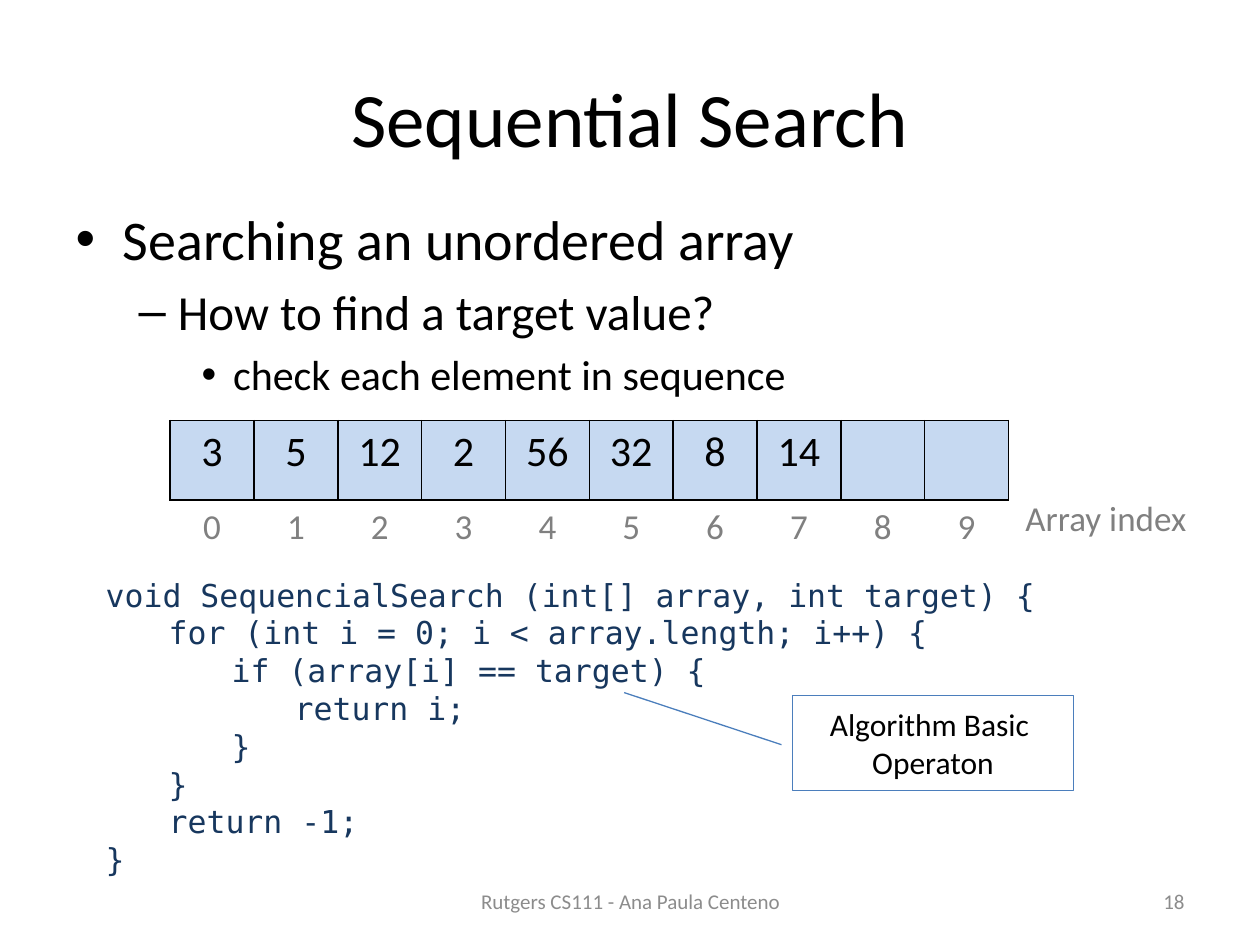
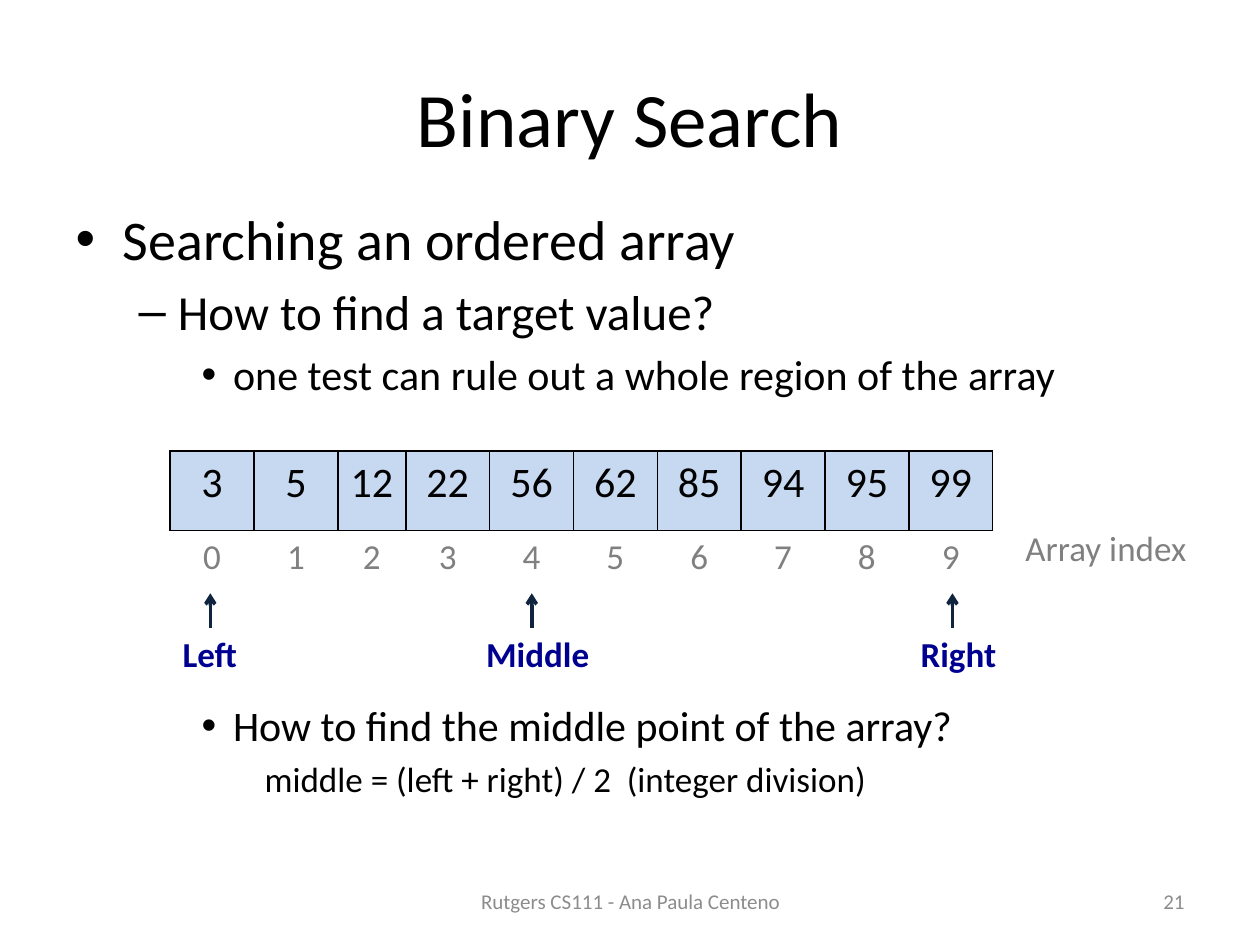
from dataclasses import dataclass

from lxml import etree
from pptx import Presentation
from pptx.dml.color import RGBColor
from pptx.enum.shapes import MSO_CONNECTOR, MSO_SHAPE
from pptx.enum.text import MSO_ANCHOR, MSO_AUTO_SIZE, PP_ALIGN
from pptx.oxml.ns import qn
from pptx.util import Cm, Pt

LEFT, MID, RIGHT = PP_ALIGN.LEFT, PP_ALIGN.CENTER, PP_ALIGN.RIGHT
TOP, CENTRE = MSO_ANCHOR.TOP, MSO_ANCHOR.MIDDLE
FIXED = MSO_AUTO_SIZE.NONE
CALLOUT = MSO_SHAPE.LINE_CALLOUT_1
STRAIGHT = MSO_CONNECTOR.STRAIGHT
NO_STYLE = "{2D5ABB26-0587-4C30-8999-92F81FD0307C}"


@dataclass(frozen=True)
class Theme:
    """Fonts, colours and type sizes of the deck."""
    font: str = "Calibri"
    mono: str = "DejaVu Sans Mono"
    ink: str = "000000"
    grey: str = "808080"
    foot: str = "8C8C8C"
    cell: str = "C6D9F1"
    code: str = "17375E"
    mark: str = "000090"
    arrow: str = "0F243E"
    edge: str = "4B7EBC"
    title: int = 44
    levels: tuple = (32, 28, 24, 20)
    value: int = 24
    index: int = 20
    text: int = 18
    small: int = 12


theme = Theme()


def style(para, size, color, align=None, bold=False, font=theme.font):
    """Format a paragraph and all its runs."""
    para.alignment = align
    for run in para.runs:
        run.font.name, run.font.size, run.font.bold = font, Pt(size), bold
        run.font.color.rgb = RGBColor.from_string(color)


def label(slide, box, text, size, color, align=LEFT, anchor=TOP, wrap=True,
          bold=False, font=theme.font):
    """Add a text box and return its text frame."""
    frame = slide.shapes.add_textbox(*map(Cm, box)).text_frame
    frame.word_wrap, frame.vertical_anchor = wrap, anchor
    frame.text = text
    for para in frame.paragraphs:
        style(para, size, color, align, bold, font)
    return frame


deck = Presentation()
deck.slide_width, deck.slide_height = Cm(25.4), Cm(19.05)

COL, THIN, ROW = 1.69, 1.37, 1.6
topics = [
    dict(title="Sequential Search", number="18", body=(22.86, 4.75), top=8.48,
         list=["Searching an unordered array", "How to find a target value?",
               "check each element in sequence"],
         values=["3", "5", "12", "2", "56", "32", "8", "14", "", ""],
         widths=[COL] * 10),
    dict(title="Binary Search", number="21", body=(24.13, 13.67), top=9.09,
         list=["Searching an ordered array", "How to find a target value?",
               "one test can rule out a whole region of the array"],
         values=["3", "5", "12", "22", "56", "62", "85", "94", "95", "99"],
         widths=[COL] * 2 + [THIN] + [COL] * 7),
]

# Shared parts: title, list, array with its index row, footer
slides = []
for topic in topics:
    slide = deck.slides.add_slide(deck.slide_layouts[1])
    slides.append(slide)
    title, body = slide.placeholders
    title.left, title.top, title.width, title.height = map(
        Cm, (1.27, 0.76, 22.86, 3.18))
    title.text_frame.text = topic["title"]
    title.text_frame.vertical_anchor = CENTRE
    style(title.text_frame.paragraphs[0], theme.title, theme.ink, MID)

    body.left, body.top = Cm(1.27), Cm(3.99)
    body.width, body.height = map(Cm, topic["body"])
    body.text_frame.text = "\n".join(topic["list"])
    body.text_frame.auto_size = FIXED
    for level, para in enumerate(body.text_frame.paragraphs):
        para.level = level
        style(para, theme.levels[level], theme.ink)

    top, widths = topic["top"], topic["widths"]
    table = slide.shapes.add_table(
        2, len(widths), Cm(3.43), Cm(top), Cm(sum(widths)), Cm(2 * ROW)).table
    table.first_row = table.horz_banding = False
    table._tbl.tblPr.find(qn("a:tableStyleId")).text = NO_STYLE
    for row in table.rows:
        row.height = Cm(ROW)
    for col, value in enumerate(topic["values"]):
        table.columns[col].width = Cm(widths[col])
        looks = [(value, theme.value, theme.ink, "LRTB"),
                 (str(col), theme.index, theme.grey, "T")]
        for row, (text, size, color, sides) in enumerate(looks):
            cell = table.cell(row, col)
            cell.text = text
            style(cell.text_frame.paragraphs[0], size, color, MID)
            props = cell._tc.get_or_add_tcPr()
            for side in sides:
                line = etree.SubElement(props, qn("a:ln" + side), w="12700")
                fill = etree.SubElement(line, qn("a:solidFill"))
                etree.SubElement(fill, qn("a:srgbClr"), val=theme.ink)
            if row == 0:
                cell.fill.solid()
                cell.fill.fore_color.rgb = RGBColor.from_string(theme.cell)
            else:
                cell.fill.background()

    label(slide, (20.42, top + 1.4, 4.04, 1.12), "Array index",
          theme.index, theme.grey)
    label(slide, (8.69, 17.65, 8.05, 1.02), "Rutgers CS111 - Ana Paula Centeno",
          theme.small, theme.foot, MID, CENTRE)
    label(slide, (18.21, 17.65, 5.92, 1.02), topic["number"],
          theme.small, theme.foot, RIGHT, CENTRE)

linear, binary = slides

# Sequential search: code, one indent step per depth, and a callout
code = [
    (0, "void SequencialSearch (int[] array, int target) {"),
    (1, "for (int i = 0; i < array.length; i++) {"),
    (2, "if (array[i] == target) {"),
    (3, "return i;"),
    (2, "}"),
    (1, "}"),
    (1, "return -1;"),
    (0, "}"),
]
frame = label(linear, (1.88, 11.48, 19.76, 6.4),
              "\n".join(text for depth, text in code),
              theme.text, theme.code, wrap=False, font=theme.mono)
for para, (depth, text) in zip(frame.paragraphs, code):
    para._p.get_or_add_pPr().set("marL", str(Cm(1.27 * depth)))

note = linear.shapes.add_shape(CALLOUT, *map(Cm, (15.98, 14.02, 5.66, 1.91)))
note.shadow.inherit = False
note.fill.background()
note.line.color.rgb = RGBColor.from_string(theme.edge)
note.line.width = Pt(0.75)
for spot, value in enumerate((0.52, -0.04, -0.03, -0.6)):
    note.adjustments[spot] = value
note.text_frame.text = "Algorithm Basic \nOperaton"
note.text_frame.vertical_anchor = CENTRE
for para in note.text_frame.paragraphs:
    style(para, theme.text, theme.ink, MID)

# Binary search: the list goes on below the array
frame = binary.placeholders[1].text_frame
for level, text in ((2, "How to find the middle point of the array?"),
                    (3, "middle = (left + right) / 2  (integer division)")):
    para = frame.add_paragraph()
    para.text, para.level = text, level
    style(para, theme.levels[level], theme.ink)
    if level == 2:
        para.space_before = Pt(172)
    else:
        props = para._p.get_or_add_pPr()
        props.set("marL", str(Cm(3.81)))
        props.set("indent", "0")
        etree.SubElement(props, qn("a:buNone"))

# Binary search: arrows under the array with their names
for text, x, left, width in (("Left", 4.24, 3.43, 1.63),
                             ("Middle", 10.72, 9.55, 2.62),
                             ("Right", 19.2, 18.31, 2.06)):
    arrow = binary.shapes.add_connector(
        STRAIGHT, Cm(x), Cm(12.65), Cm(x), Cm(11.96))
    arrow.line.color.rgb = RGBColor.from_string(theme.arrow)
    arrow.line.width = Pt(2)
    etree.SubElement(arrow.line._get_or_add_ln(), qn("a:tailEnd"), type="arrow")
    etree.SubElement(arrow._element.spPr, qn("a:effectLst"))
    label(binary, (left, 12.62, width, 1.12), text, theme.index, theme.mark,
          wrap=False, bold=True)

deck.save("out.pptx")
